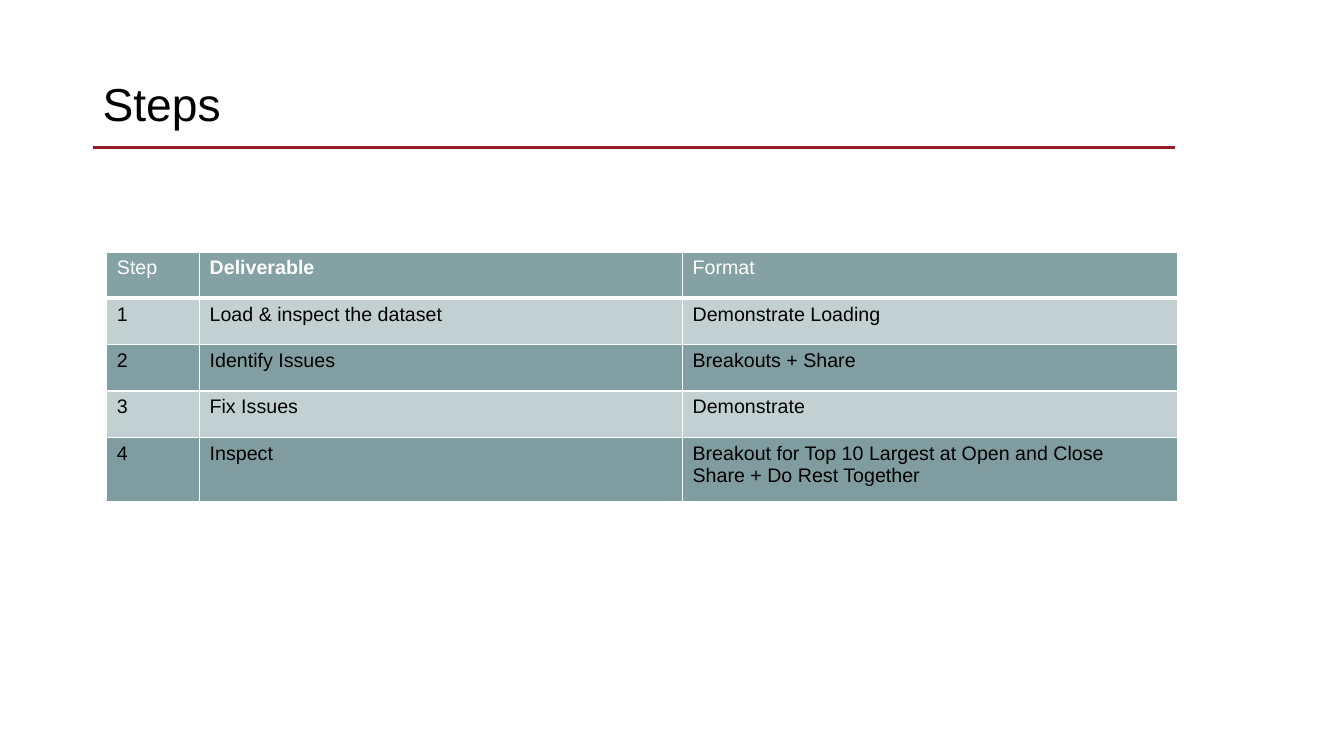
import pptx
import pptx.dml.color
import pptx.enum.shapes
import pptx.enum.text
import pptx.oxml
import pptx.oxml.ns
import pptx.util
from pptx.util import Inches

TITLE = "Steps"
ROWS = [
    ("Step", "Deliverable", "Format"),
    ("1", "Load & inspect the dataset", "Demonstrate Loading"),
    ("2", "Identify Issues", "Breakouts + Share"),
    ("3", "Fix Issues", "Demonstrate"),
    ("4", "Inspect", "Breakout for Top 10 Largest at Open and Close\nShare + Do Rest Together"),
]
BOLD_HEADING = "Deliverable"
COLUMN_WIDTHS = (0.92, 4.79, 4.91)
ROW_HEIGHTS = (0.46, 0.46, 0.46, 0.46, 0.64)
ROW_OPACITIES = (59, 29, 60, 29, 61)
COLORS = {"text": "000000", "white": "FFFFFF", "rule": "971B29", "teal": "2E6064"}
FONT = "Arial"


def rgb(name):
    return pptx.dml.color.RGBColor.from_string(COLORS[name])


def style_text(text_frame, color, **formats):
    for paragraph in text_frame.paragraphs:
        for run in paragraph.runs:
            run.font.color.rgb = rgb(color)
            for name, value in {"name": FONT, **formats}.items():
                setattr(run.font, name, value)


def add_borders(cell, widths):
    properties = cell._tc.get_or_add_tcPr()
    for index, (side, width) in enumerate(widths.items()):
        border = pptx.oxml.parse_xml(
            f'<a:ln{side} {pptx.oxml.ns.nsdecls("a")} w="{pptx.util.Pt(width)}">'
            f'<a:solidFill><a:srgbClr val="{COLORS["white"]}"/></a:solidFill></a:ln{side}>'
        )
        properties.insert(index, border)


def fill_cell(cell, opacity):
    cell.fill.solid()
    cell.fill.fore_color.rgb = rgb("teal")
    color = cell._tc.tcPr.find(".//" + pptx.oxml.ns.qn("a:srgbClr"))
    color.append(pptx.oxml.parse_xml(
        f'<a:alpha {pptx.oxml.ns.nsdecls("a")} val="{opacity * 1000}"/>'))


def add_title(slide):
    rule = slide.shapes.add_connector(
        pptx.enum.shapes.MSO_CONNECTOR.STRAIGHT,
        Inches(0.92), Inches(1.46), Inches(11.65), Inches(1.46))
    rule.line.color.rgb = rgb("rule")
    rule.line.width = pptx.util.Pt(2)
    rule._element.spPr.append(pptx.oxml.parse_xml(
        f'<a:effectLst {pptx.oxml.ns.nsdecls("a")}/>'))

    title = slide.shapes.add_textbox(Inches(0.92), Inches(0.33), Inches(11.5), Inches(1.45))
    frame = title.text_frame
    frame.text = TITLE
    frame.word_wrap = True
    frame.vertical_anchor = pptx.enum.text.MSO_ANCHOR.MIDDLE
    frame.paragraphs[0].line_spacing = 0.9
    style_text(frame, "text", size=pptx.util.Pt(33))


def add_steps_table(slide):
    table = slide.shapes.add_table(
        len(ROWS), len(COLUMN_WIDTHS), Inches(1.06), Inches(2.5),
        Inches(sum(COLUMN_WIDTHS)), Inches(sum(ROW_HEIGHTS))).table
    for column, width in zip(table.columns, COLUMN_WIDTHS):
        column.width = Inches(width)
    for row_index, texts in enumerate(ROWS):
        table.rows[row_index].height = Inches(ROW_HEIGHTS[row_index])
        for column_index, text in enumerate(texts):
            cell = table.cell(row_index, column_index)
            cell.text = text
            style_text(cell.text_frame, "text" if row_index else "white",
                       size=pptx.util.Pt(14), bold=text == BOLD_HEADING)
            fill_cell(cell, ROW_OPACITIES[row_index])
            add_borders(cell, {"L": 1, "R": 1, "T": 3 if row_index == 1 else 1,
                               "B": 3 if row_index == 0 else 1})


def main():
    presentation = pptx.Presentation()
    presentation.slide_width = Inches(13.33)
    presentation.slide_height = Inches(7.5)
    slide = presentation.slides.add_slide(presentation.slide_layouts[6])
    add_title(slide)
    add_steps_table(slide)
    presentation.save("out.pptx")


if __name__ == "__main__":
    main()
